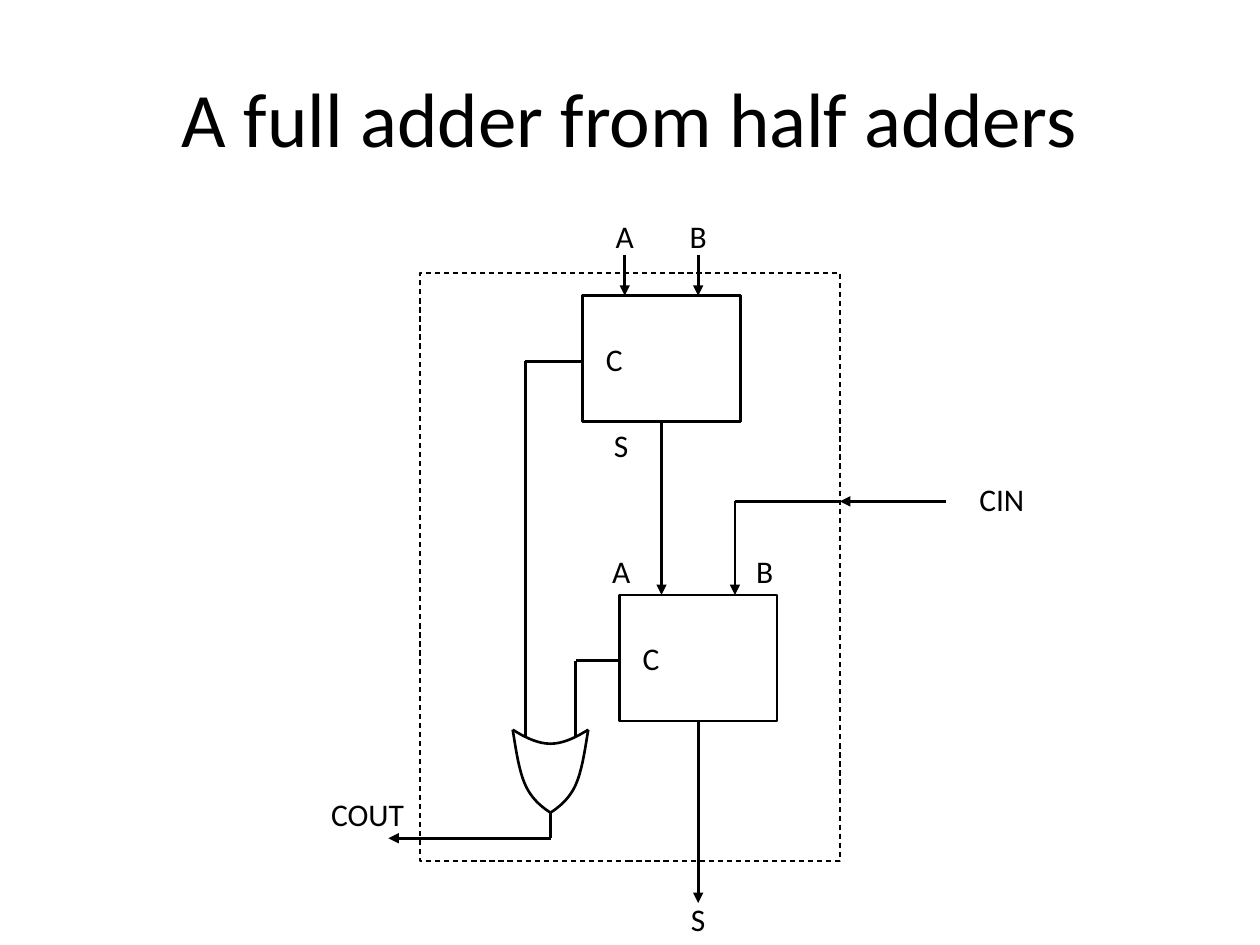
import itertools
from dataclasses import dataclass

import lxml.etree
import pptx
import pptx.dml.color
import pptx.enum.dml
import pptx.enum.shapes
import pptx.enum.text
import pptx.oxml
import pptx.oxml.ns
import pptx.util

Pt = pptx.util.Pt
qn = pptx.oxml.ns.qn


@dataclass(frozen=True)
class Theme:
    ink: pptx.dml.color.RGBColor = pptx.dml.color.RGBColor(0, 0, 0)
    font: str = "Calibri"
    title: int = 44
    label: int = 18
    wire: float = 1.5
    border: float = 0.75


THEME = Theme()
BOX_W, BOX_H = 90, 72
CARRY_DROP = 37.5
GATE_X, GATE_TOP, GATE_TIP = 314.6, 417, 464.4
GATE_HALF, PIN_OFFSET = 21.6, 14.4
PIN_TOP, PIN_END = 407, 421


def add_text(s, text, x, y, w, h, size=THEME.label, align="CENTER"):
    tf = s.shapes.add_textbox(Pt(x), Pt(y), Pt(w), Pt(h)).text_frame
    tf.margin_left = tf.margin_right = tf.margin_top = tf.margin_bottom = 0
    tf.word_wrap = True
    tf.vertical_anchor = pptx.enum.text.MSO_ANCHOR.MIDDLE
    p = tf.paragraphs[0]
    p.alignment = getattr(pptx.enum.text.PP_ALIGN, align)
    r = p.add_run()
    r.text = text
    r.font.name = THEME.font
    r.font.size = Pt(size)
    r.font.color.rgb = THEME.ink


def add_letter(s, text, center_x, y):
    add_text(s, text, center_x - 18, y, 36, 18)


def outline(sp, width=THEME.wire):
    sp.shadow.inherit = False
    sp.fill.background()
    sp.line.color.rgb = THEME.ink
    sp.line.width = Pt(width)


def add_box(s, x, y, w, h, width=THEME.wire):
    sp = s.shapes.add_shape(
        pptx.enum.shapes.MSO_SHAPE.RECTANGLE, Pt(x), Pt(y), Pt(w), Pt(h))
    outline(sp, width)
    return sp


def add_wire(s, *points, arrow=False):
    for (x1, y1), (x2, y2) in itertools.pairwise(points):
        sp = s.shapes.add_connector(
            pptx.enum.shapes.MSO_CONNECTOR.STRAIGHT, Pt(x1), Pt(y1), Pt(x2), Pt(y2))
        sp.line.color.rgb = THEME.ink
        sp.line.width = Pt(THEME.wire)
        lxml.etree.SubElement(sp._element.spPr, qn("a:effectLst"))
    if arrow:
        ln = sp.line._get_or_add_ln()
        lxml.etree.SubElement(ln, qn("a:tailEnd"), type="triangle")


def bezier(a, b, c, d, steps=16):
    for i in range(steps + 1):
        t = i / steps
        u = 1 - t
        yield tuple(u**3 * k + 3 * u * u * t * m + 3 * u * t * t * n + t**3 * o
                    for k, m, n, o in zip(a, b, c, d))


def add_curve(s, *segments):
    points = [pt for segment in segments for pt in bezier(*segment)]
    scaled = [(round(x * 100), round(y * 100)) for x, y in points]
    fb = s.shapes.build_freeform(*scaled[0], scale=Pt(1) / 100)
    fb.add_line_segments(scaled[1:], close=False)
    outline(fb.convert_to_shape())


def add_or_gate(s):
    x, top, tip = GATE_X, GATE_TOP, GATE_TIP
    for side in (1, -1):
        shoulder = (x + side * PIN_OFFSET, 448.5)
        add_curve(
            s,
            ((x + side * GATE_HALF, top), (x + side * 19.6, 429),
             (x + side * 18, 440.5), shoulder),
            (shoulder, (x + side * 10.8, 456.5), (x + side * 5.2, 461), (x, tip)))
    back = (x, 425)
    add_curve(
        s,
        ((x + GATE_HALF, top), (x + 14.4, 421.5), (x + 7.2, 425), back),
        (back, (x - 7.2, 425), (x - 14.4, 421.5), (x - GATE_HALF, top)))


def add_half_adder(s, x, y, sum_end, pin_x):
    add_box(s, x, y, BOX_W, BOX_H)
    sum_x = x + BOX_W / 2
    add_wire(s, (sum_x, y + BOX_H), (sum_x, sum_end), arrow=True)
    carry_y = y + CARRY_DROP
    add_wire(s, (x, carry_y), (pin_x, carry_y), (pin_x, PIN_TOP), (pin_x, PIN_END))
    add_letter(s, "C", x + 18, carry_y - 10.5)


def main():
    prs = pptx.Presentation()
    prs.slide_width, prs.slide_height = Pt(720), Pt(540)
    s = prs.slides.add_slide(prs.slide_layouts[6])

    add_text(s, "A full adder from half adders", 36, 21.6, 648, 90, size=THEME.title)

    add_half_adder(s, 333, 169, 340, GATE_X - PIN_OFFSET)
    add_half_adder(s, 354, 340, 516, GATE_X + PIN_OFFSET)

    for text, x in (("A", 357), ("B", 399)):
        add_wire(s, (x, 145.5), (x, 169), arrow=True)
        add_letter(s, text, x, 126)
    for text, x, y in (("S", 355, 245), ("A", 355, 317), ("B", 437, 317), ("S", 399, 516)):
        add_letter(s, text, x, y)

    add_wire(s, (540.5, 286.5), (480, 286.5), arrow=True)
    add_wire(s, (480, 286.5), (420, 286.5), (420, 315.5), (420, 340), arrow=True)
    add_text(s, "CIN", 559.6, 275.5, 60, 19.5, align="LEFT")

    add_or_gate(s)
    add_wire(s, (GATE_X, GATE_TIP), (GATE_X, 479), (222, 479), arrow=True)
    add_text(s, "COUT", 180, 455.5, 60, 19.5)

    border = add_box(s, 240, 156, 240, 336, THEME.border)
    border.line.dash_style = pptx.enum.dml.MSO_LINE.DASH

    prs.save("out.pptx")


if __name__ == "__main__":
    main()
